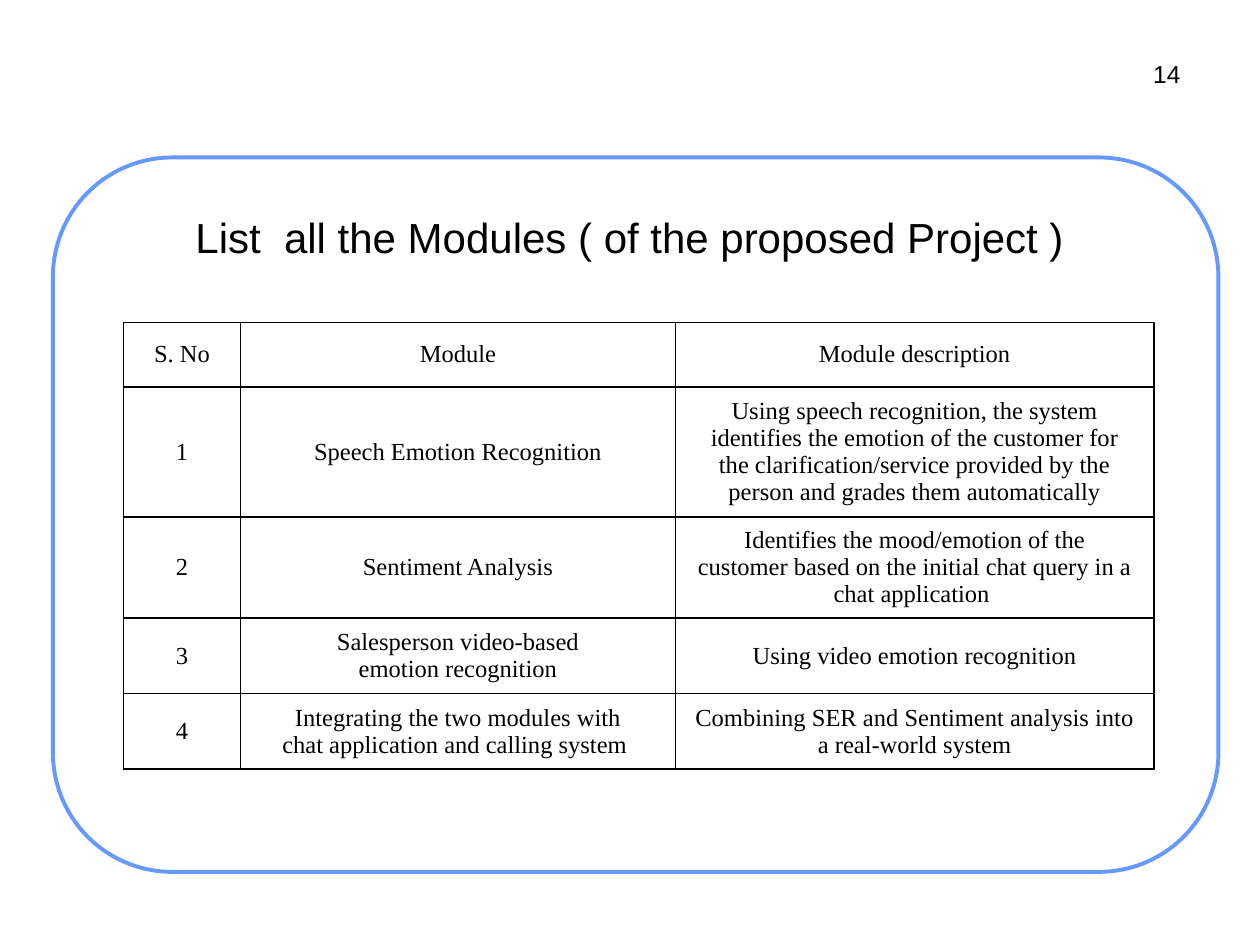
from lxml import etree
from pptx import Presentation
from pptx.dml.color import RGBColor
from pptx.enum.shapes import MSO_SHAPE
from pptx.enum.text import MSO_ANCHOR, PP_ALIGN
from pptx.oxml.ns import qn
from pptx.util import Inches, Pt

CENTER, RIGHT = PP_ALIGN.CENTER, PP_ALIGN.RIGHT
TOP, MIDDLE = MSO_ANCHOR.TOP, MSO_ANCHOR.MIDDLE
ROUNDED = MSO_SHAPE.ROUNDED_RECTANGLE
BLACK, WHITE, BLUE = "000000", "FFFFFF", "6699FF"
HARD_SPACE = "~"

TITLE = "List~ all the Modules ( of the proposed Project )~~"
PAGE_NUMBER = "14"
HEADINGS = ("S.~No", "Module", "Module description")
MODULES = [
    ("Speech Emotion Recognition",
     "Using speech recognition, the system identifies~the emotion of the customer "
     "for the~clarification/service provided by the person and~grades them automatically"),
    ("Sentiment Analysis",
     "Identifies the mood/emotion of the customer~based on the initial chat query "
     "in a chat~application~"),
    ("Salesperson~video-based emotion~recognition",
     "Using video emotion recognition"),
    ("Integrating the two modules with chat~application and calling system~",
     "Combining SER and Sentiment analysis into a~real-world system"),
]
COLUMN_WIDTHS = (0.93, 3.45, 3.8)
ROW_HEIGHTS = (0.51, 0.79, 0.59, 0.6, 0.6)


def color(value):
    return RGBColor.from_string(value)


def write(frame, text, size=14, font="Arial", align=CENTER, ink=BLACK):
    paragraph = frame.paragraphs[0]
    paragraph.alignment = align
    run = paragraph.add_run()
    run.text = text.replace(HARD_SPACE, chr(160))
    run.font.size = Pt(size)
    run.font.name = font
    run.font.color.rgb = color(ink)


def add_label(slide, box, text, anchor=TOP, wrap=True, **style):
    frame = slide.shapes.add_textbox(*map(Inches, box)).text_frame
    frame.word_wrap = wrap
    frame.vertical_anchor = anchor
    frame.margin_left = frame.margin_right = Inches(0.05)
    frame.margin_top = frame.margin_bottom = Inches(0.05)
    write(frame, text, **style)


def add_borders(cell, ink=BLACK, width=1):
    properties = cell._tc.get_or_add_tcPr()
    for position, side in enumerate(("a:lnL", "a:lnR", "a:lnT", "a:lnB")):
        line = etree.Element(qn(side), w=str(Pt(width)))
        fill = etree.SubElement(line, qn("a:solidFill"))
        etree.SubElement(fill, qn("a:srgbClr"), val=ink)
        properties.insert(position, line)


def add_panel(slide):
    panel = slide.shapes.add_shape(ROUNDED, *map(Inches, (0.42, 1.25, 9.25, 5.67)))
    panel.adjustments[0] = 0.167
    panel.shadow.inherit = False
    panel.fill.solid()
    panel.fill.fore_color.rgb = color(WHITE)
    panel.line.color.rgb = color(BLUE)
    panel.line.width = Pt(2.25)


def add_modules(slide):
    rows = [HEADINGS] + [(str(n), *module) for n, module in enumerate(MODULES, 1)]
    box = (0.98, 2.56, sum(COLUMN_WIDTHS), sum(ROW_HEIGHTS))
    table = slide.shapes.add_table(len(rows), len(HEADINGS), *map(Inches, box)).table
    table.first_row = table.horz_banding = False
    for column, width in zip(table.columns, COLUMN_WIDTHS):
        column.width = Inches(width)
    for row, height, texts in zip(table.rows, ROW_HEIGHTS, rows):
        row.height = Inches(height)
        for cell, text in zip(row.cells, texts):
            cell.vertical_anchor = MIDDLE
            cell.fill.background()
            add_borders(cell)
            write(cell.text_frame, text, font="Times New Roman")


def main():
    deck = Presentation()
    deck.slide_width, deck.slide_height = Inches(10), Inches(7.5)
    slide = deck.slides.add_slide(deck.slide_layouts[6])
    add_panel(slide)
    add_label(slide, (1.09, 1.03, 8, 1.69), TITLE, anchor=MIDDLE, size=24)
    add_label(slide, (9.09, 0.42, 0.33, 0.32), PAGE_NUMBER, wrap=False, align=RIGHT)
    add_modules(slide)
    deck.save("out.pptx")


if __name__ == "__main__":
    main()
